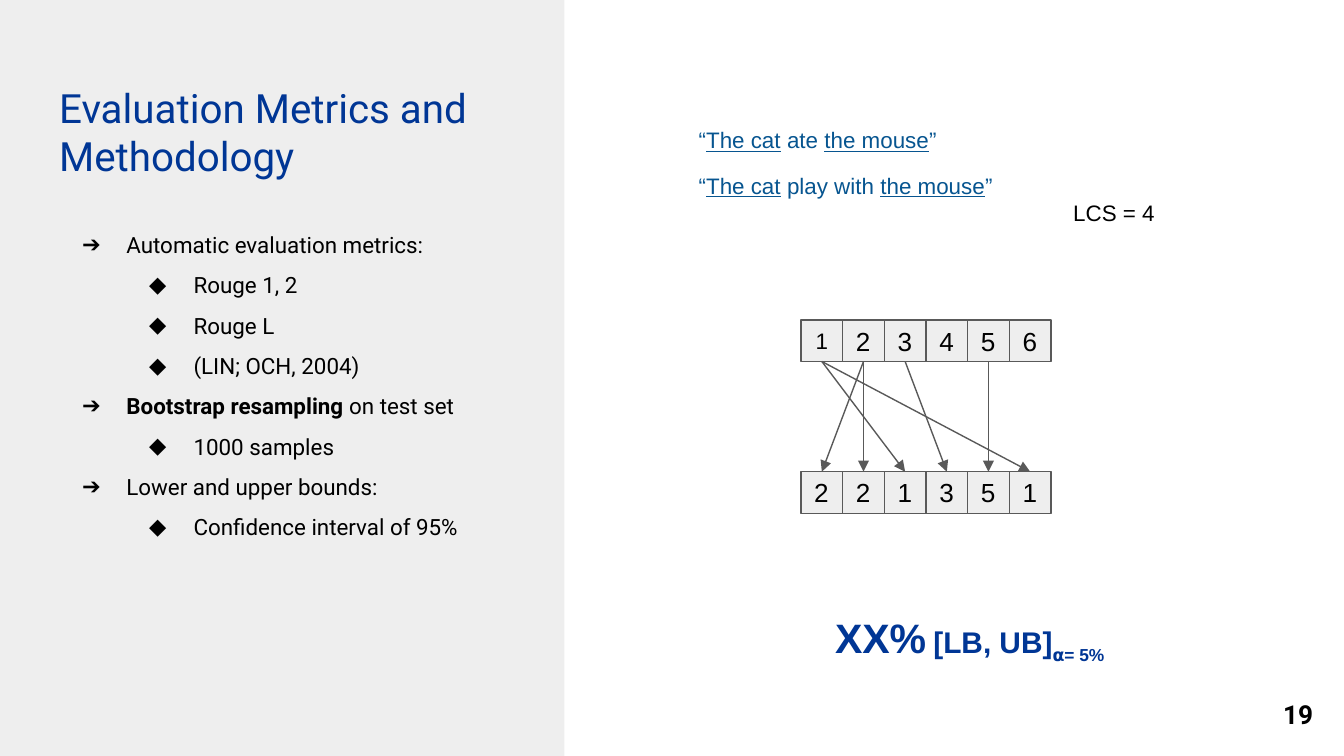
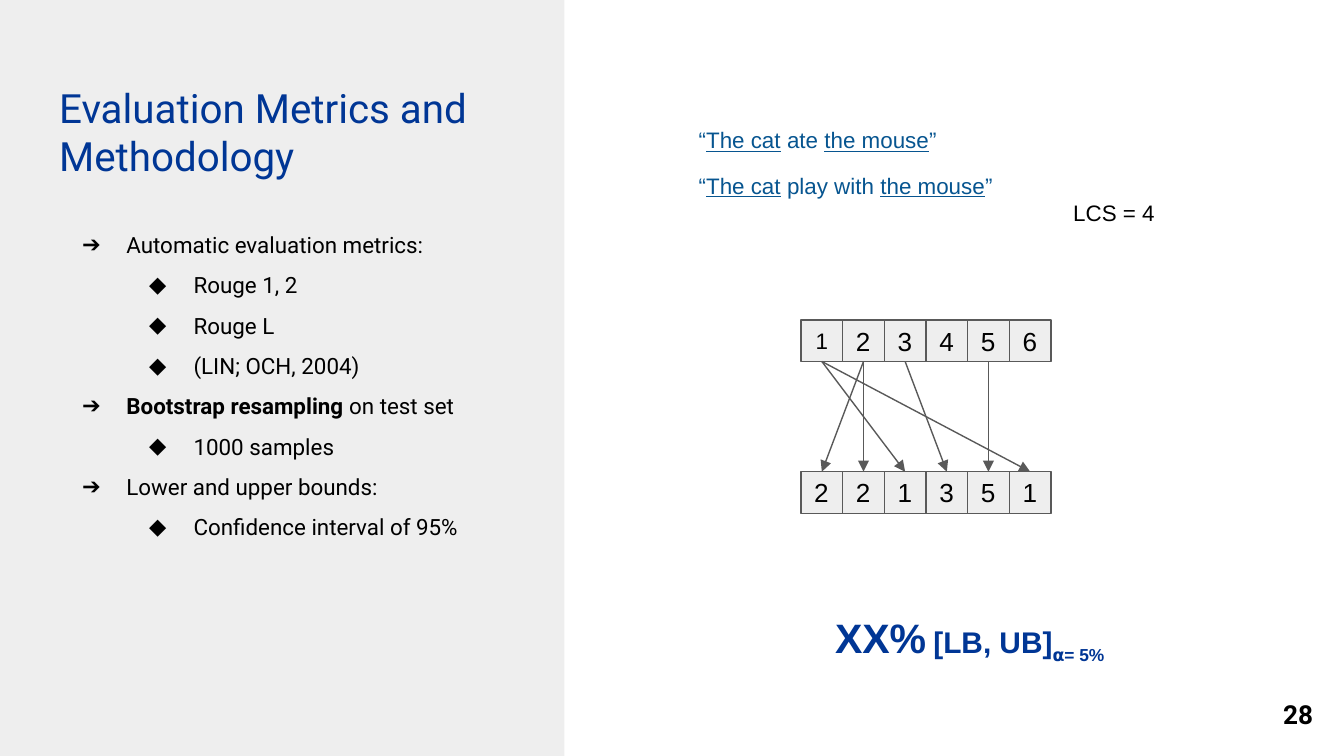
from dataclasses import dataclass

from lxml.etree import SubElement
from pptx import Presentation
from pptx.dml.color import RGBColor
from pptx.enum.shapes import MSO_CONNECTOR, MSO_SHAPE
from pptx.enum.text import MSO_ANCHOR, MSO_AUTO_SIZE, PP_ALIGN
from pptx.oxml.ns import qn
from pptx.util import Inches, Pt

NAVY = RGBColor(0x00, 0x36, 0x95)
BLUE = RGBColor(0x07, 0x55, 0x90)
BLACK = RGBColor(0x00, 0x00, 0x00)
PALE = RGBColor(0xEE, 0xEE, 0xEE)
GREY = RGBColor(0x59, 0x59, 0x59)

HEADING_FONT = "Roboto"
FIGURE_FONT = "Arial"

SLIDE_WIDTH = Inches(10)
SLIDE_HEIGHT = SLIDE_WIDTH * 9 // 16
COLUMNS = 100
UNIT = SLIDE_WIDTH / COLUMNS
ROWS = SLIDE_HEIGHT / UNIT
MARGIN = Inches(0.1)
THIN = Pt(0.75)

TITLE = "Evaluation Metrics and Methodology"
BULLETS = ("➔", "◆")
METHOD = [
    (0, "", "Automatic evaluation metrics:"),
    (1, "", "Rouge 1, 2"),
    (1, "", "Rouge L"),
    (1, "", "(LIN; OCH, 2004)"),
    (0, "Bootstrap resampling", " on test set"),
    (1, "", "1000 samples"),
    (0, "", "Lower and upper bounds:"),
    (1, "", "Confidence interval of 95%"),
]
VERBS = (" ate ", " play with ")
TEST_SET = (1, 2, 3, 4, 5, 6)
RESAMPLE = (2, 2, 1, 3, 5, 1)
PAGE_NUMBERS = (19, 28)


@dataclass
class Box:
    left: float
    top: float
    width: float
    height: float

    def inner(self, left, top, width, height):
        return Box(self.left + left, self.top + top, width, height)

    def lengths(self):
        return [round(part * UNIT) for part in (self.left, self.top, self.width, self.height)]


def move(shape, box):
    shape.left, shape.top, shape.width, shape.height = box.lengths()


def prepare_frame(shape, anchor=MSO_ANCHOR.TOP, auto_size=MSO_AUTO_SIZE.NONE):
    frame = shape.text_frame
    frame.word_wrap = True
    frame.auto_size = auto_size
    frame.vertical_anchor = anchor
    frame.margin_left = frame.margin_right = MARGIN
    frame.margin_top = frame.margin_bottom = MARGIN
    return frame


def next_para(frame):
    first = frame.paragraphs[0]
    return frame.add_paragraph() if first.runs else first


def style_para(para, name, size, color, align=PP_ALIGN.LEFT, bold=False):
    para.alignment = align
    para.font.name = name
    para.font.size = Pt(size)
    para.font.color.rgb = color
    para.font.bold = bold


def add_span(para, text):
    span = para.add_run()
    span.text = text
    return span


def add_bullet(para, level):
    para.level = level
    properties = para._p.get_or_add_pPr()
    properties.set("marL", str(Inches(0.5 * (level + 1))))
    properties.set("indent", str(Inches(-0.33)))
    color = SubElement(properties, qn("a:buClr"))
    SubElement(color, qn("a:srgbClr"), val=str(BLACK))
    SubElement(properties, qn("a:buFont"), typeface=HEADING_FONT)
    SubElement(properties, qn("a:buChar"), char=BULLETS[level])


def add_rectangle(page, box):
    shape = page.shapes.add_shape(MSO_SHAPE.RECTANGLE, *box.lengths())
    shape.shadow.inherit = False
    shape.fill.solid()
    shape.fill.fore_color.rgb = PALE
    return shape


def add_method_panel(page, box):
    panel = add_rectangle(page, box)
    panel.line.fill.background()
    title, body = page.placeholders
    title.element.addprevious(panel.element)

    move(title, box.inner(3.4, 6.1, 34.9, 8.3))
    para = prepare_frame(title, MSO_ANCHOR.BOTTOM).paragraphs[0]
    add_span(para, TITLE)
    style_para(para, HEADING_FONT, 21.6, NAVY)

    move(body, box.inner(3.4, 15.2, 37.4, 34.8))
    frame = prepare_frame(body)
    for level, strong, plain in METHOD:
        para = next_para(frame)
        add_bullet(para, level)
        para.line_spacing = 1.5
        para.space_before = Pt(0)
        if strong:
            add_span(para, strong).font.bold = True
        add_span(para, plain)
        style_para(para, HEADING_FONT, 12, BLACK)


def add_sentences(page, box):
    shape = page.shapes.add_textbox(*box.lengths())
    frame = prepare_frame(shape, auto_size=MSO_AUTO_SIZE.SHAPE_TO_FIT_TEXT)
    for index, verb in enumerate(VERBS):
        para = next_para(frame)
        para.space_before = Pt(10 * index)
        for text in ("“", "The cat", verb, "the mouse", "”"):
            add_span(para, text).font.underline = text in ("The cat", "the mouse")
        style_para(para, FIGURE_FONT, 12, BLUE)
    para = next_para(frame)
    add_span(para, "LCS = 4")
    style_para(para, FIGURE_FONT, 12, BLACK, PP_ALIGN.RIGHT)


def add_cells(page, box, numbers):
    side = box.width / len(numbers)
    cells = []
    for index, number in enumerate(numbers):
        cell = add_rectangle(page, box.inner(index * side, 0, side, box.height))
        cell.line.color.rgb = GREY
        cell.line.width = THIN
        para = prepare_frame(cell, MSO_ANCHOR.MIDDLE).paragraphs[0]
        add_span(para, str(number))
        style_para(para, FIGURE_FONT, 14, BLACK)
        cells.append(cell)
    return cells


def add_arrow(page, source, target):
    arrow = page.shapes.add_connector(MSO_CONNECTOR.STRAIGHT, 0, 0, 0, 0)
    arrow.begin_connect(source, 2)
    arrow.end_connect(target, 0)
    arrow.line.color.rgb = GREY
    arrow.line.width = THIN
    SubElement(arrow.line._get_or_add_ln(), qn("a:tailEnd"), type="triangle")
    SubElement(arrow.element.spPr, qn("a:effectLst"))


def add_resampling(page, box):
    side = box.width / len(TEST_SET)
    sources = add_cells(page, box.inner(0, 0, box.width, side), TEST_SET)
    targets = add_cells(page, box.inner(0, box.height - side, box.width, side), RESAMPLE)
    first = sources[0].text_frame.paragraphs[0]
    style_para(first, FIGURE_FONT, 12, BLACK, PP_ALIGN.CENTER)
    for number, source in zip(TEST_SET, sources):
        for drawn, target in zip(RESAMPLE, targets):
            if drawn == number:
                add_arrow(page, source, target)


def add_interval(page, box):
    shape = page.shapes.add_textbox(*box.lengths())
    frame = prepare_frame(shape, auto_size=MSO_AUTO_SIZE.SHAPE_TO_FIT_TEXT)
    para = frame.paragraphs[0]
    for text, size in (("XX%", 22), (" ", 14), ("[LB, UB]", 16), ("𝝰= 5%", 16)):
        span = add_span(para, text)
        span.font.size = Pt(size)
    span.font._element.set("baseline", "-25000")
    style_para(para, FIGURE_FONT, 16, NAVY, PP_ALIGN.CENTER, bold=True)


def add_page_number(page, box, number):
    shape = page.shapes.add_textbox(*box.lengths())
    para = prepare_frame(shape, MSO_ANCHOR.MIDDLE).paragraphs[0]
    add_span(para, str(number))
    style_para(para, HEADING_FONT, 14, BLACK, PP_ALIGN.RIGHT, bold=True)


def add_metrics_slide(deck, number):
    page = deck.slides.add_slide(deck.slide_layouts[1])
    add_method_panel(page, Box(0, 0, 42, ROWS))
    add_page_number(page, Box(92.7, 51, 6, 4.3), number)
    add_sentences(page, Box(51, 8.4, 35.9, 9.5))
    add_resampling(page, Box(59.6, 23.8, 18.6, 14.4))
    add_interval(page, Box(60.5, 44.6, 23.3, 5.7))


def main():
    deck = Presentation()
    deck.slide_width = SLIDE_WIDTH
    deck.slide_height = SLIDE_HEIGHT
    for number in PAGE_NUMBERS:
        add_metrics_slide(deck, number)
    deck.save("out.pptx")


if __name__ == "__main__":
    main()
